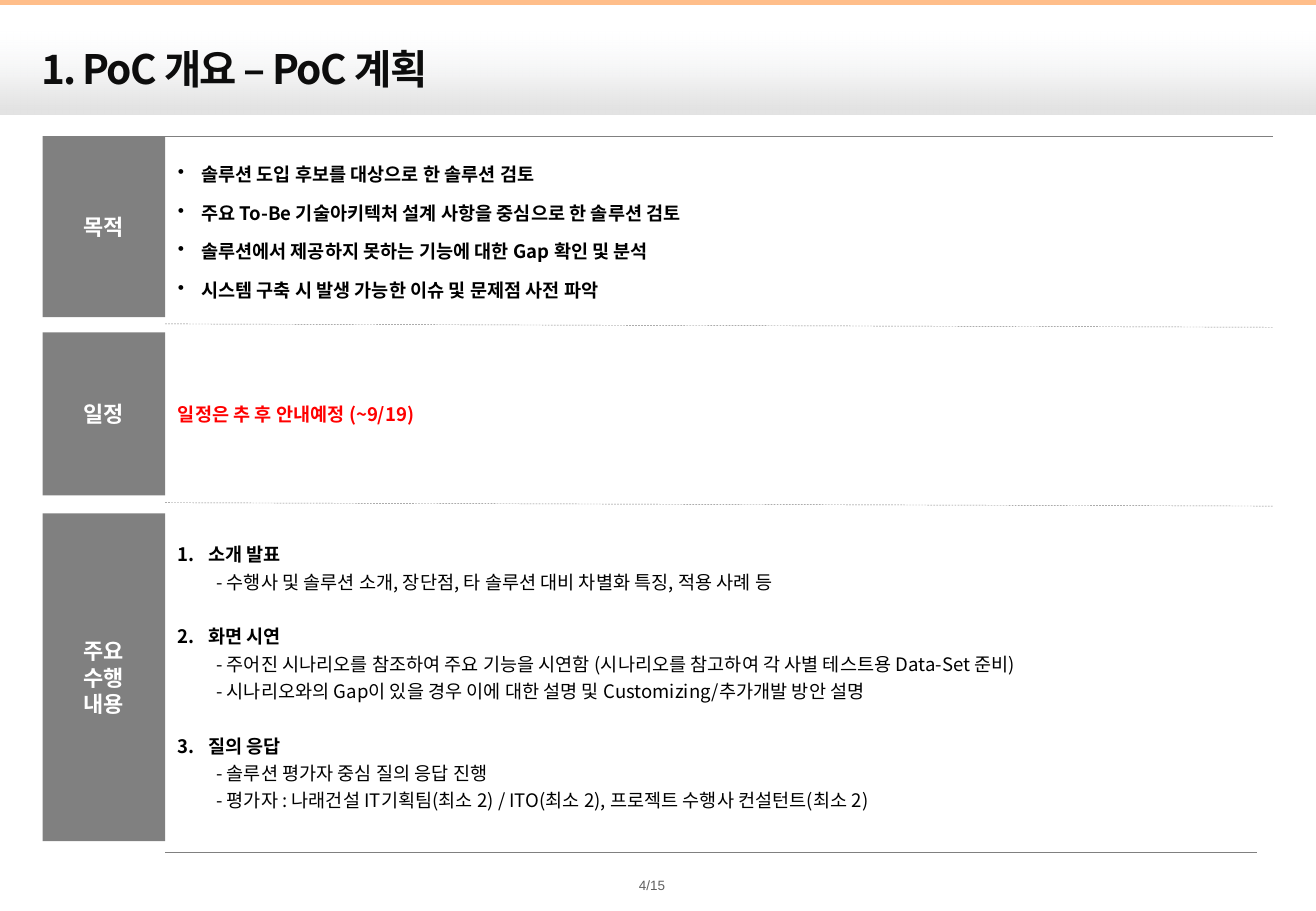
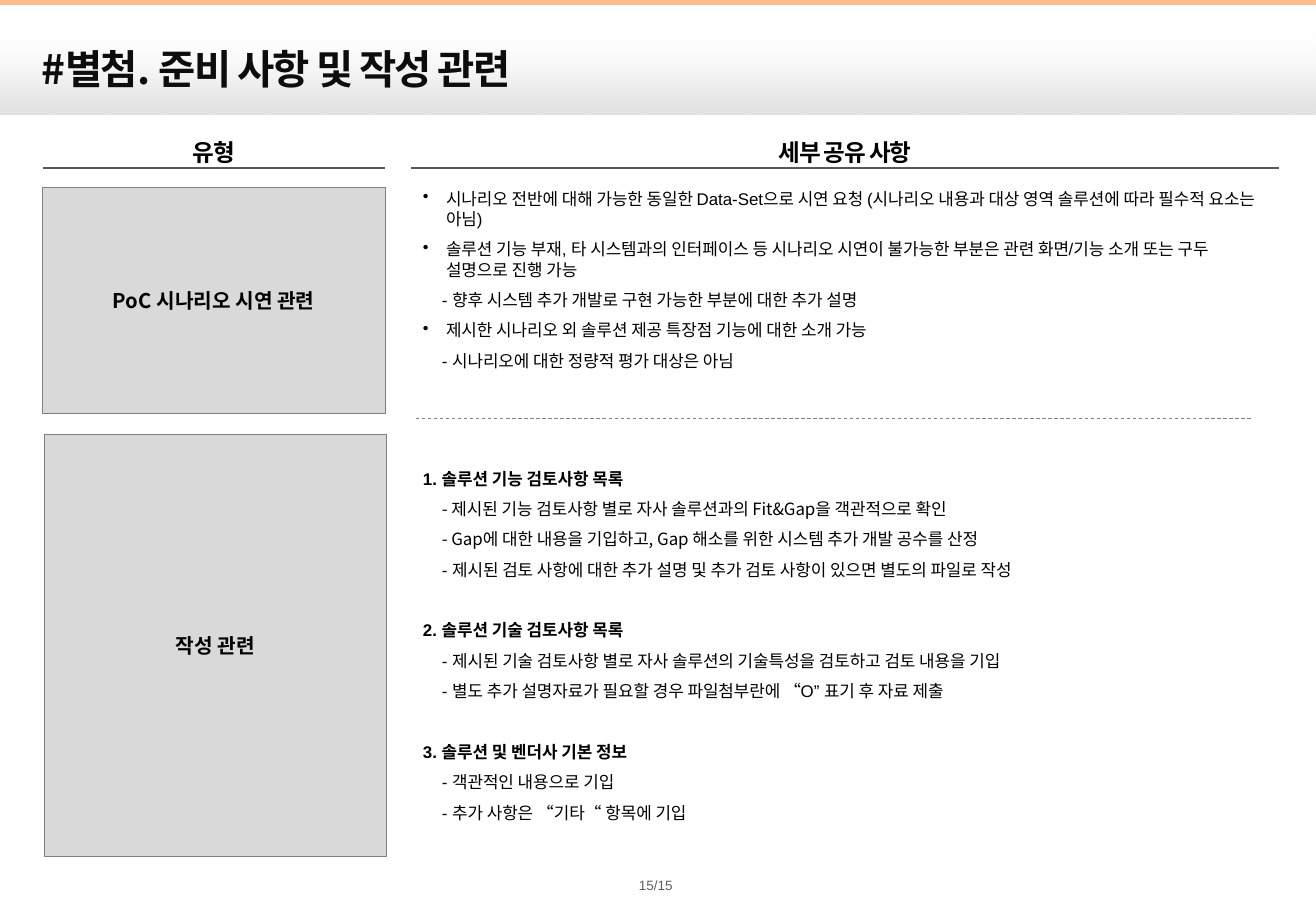
from dataclasses import dataclass

from lxml import etree
from pptx import Presentation
from pptx.dml.color import RGBColor
from pptx.enum.dml import MSO_LINE
from pptx.enum.shapes import MSO_CONNECTOR, MSO_SHAPE
from pptx.enum.text import MSO_ANCHOR, PP_ALIGN
from pptx.oxml.ns import qn
from pptx.util import Pt

STRAIGHT, RECTANGLE = MSO_CONNECTOR.STRAIGHT, MSO_SHAPE.RECTANGLE
DASH = MSO_LINE.DASH
TOP, MIDDLE = MSO_ANCHOR.TOP, MSO_ANCHOR.MIDDLE
LEFT, CENTER = PP_ALIGN.LEFT, PP_ALIGN.CENTER
WIDTH, HEIGHT = 780, 540
KOREAN, LATIN = "Noto Sans CJK KR", "Arial"
COLORS = {
    "accent": "FFBE8A", "title": "0D0D0D", "page": "5F5F5F", "gray": "808080",
    "rule": "595959", "panel": "D9D9D9", "haze": "F6F9FC", "text": "000000",
    "white": "FFFFFF", "alert": "FF0000",
}
BAND_STOPS = [(0, "haze", 3), (74, "panel", 55), (93, "panel", 74)]  # percent, colour, opacity
MARGIN = 25.2
INSETS = {"margin_left": 7.2, "margin_right": 7.2, "margin_top": 3.6, "margin_bottom": 3.6}


@dataclass(frozen=True)
class Style:
    size: float
    color: str = "text"
    bold: bool = False
    font: str = KOREAN
    align: PP_ALIGN = LEFT
    leading: float = 1.2
    spacing: float = 0
    before: float = 0
    after: float = 0


@dataclass(frozen=True)
class Para:
    text: str
    style: Style
    indent: float = 0
    hanging: float = 0
    bullet: bool = False


@dataclass(frozen=True)
class Box:
    left: float
    top: float
    width: float
    height: float


@dataclass(frozen=True)
class Rule:
    start: tuple[float, float]
    end: tuple[float, float]
    color: str = "gray"
    weight: float = 0.25
    dashed: bool = False


TITLE = Style(24, "title", True, leading=1.27, spacing=-1)
PAGE = Style(8, "page", font=LATIN)
LABEL = Style(13, "white", True, align=CENTER)
GOAL = Style(11, bold=True, leading=1.8, before=3)
NOTICE = Style(11, "alert", True, before=3)
STEP = Style(11, bold=True, before=3)
NEXT_STEP = Style(11, bold=True, before=19.2)
DETAIL = Style(11, before=3)
COLUMN = Style(14, bold=True, align=CENTER, leading=1.32, spacing=-0.7)
CATEGORY = Style(12, bold=True, align=CENTER)
NOTE = Style(10, font=LATIN, after=6)
KOREAN_NOTE = Style(10, after=6)
LAST_NOTE = Style(10, font=LATIN, after=24)
TOPIC = Style(10, bold=True, font=LATIN, after=6)


def rgb(name: str) -> RGBColor:
    return RGBColor.from_string(COLORS[name])


def write(frame, paras: list[Para], anchor: MSO_ANCHOR = MIDDLE, inset: bool = True) -> None:
    frame.word_wrap = True
    frame.vertical_anchor = anchor
    for side, value in INSETS.items():
        setattr(frame, side, Pt(value if inset else 0))
    for index, para in enumerate(paras):
        paragraph = frame.add_paragraph() if index else frame.paragraphs[0]
        style = para.style
        layout = {"alignment": style.align, "line_spacing": Pt(style.size * style.leading),
                  "space_before": Pt(style.before), "space_after": Pt(style.after)}
        for name, value in layout.items():
            setattr(paragraph, name, value)
        properties = paragraph._p.get_or_add_pPr()
        properties.set("marL", str(Pt(para.indent)))
        properties.set("indent", str(Pt(-para.hanging)))
        if para.bullet:
            etree.SubElement(properties, qn("a:buChar")).set("char", "•")
        run = paragraph.add_run()
        run.text = para.text
        for name, value in {"name": style.font, "size": Pt(style.size), "bold": style.bold}.items():
            setattr(run.font, name, value)
        run.font.color.rgb = rgb(style.color)
        run_properties = run._r.get_or_add_rPr()
        etree.SubElement(run_properties, qn("a:ea")).set("typeface", KOREAN)
        if style.spacing:
            run_properties.set("spc", str(round(style.spacing * 100)))


def add_text(slide, box: Box, paras: list[Para], anchor: MSO_ANCHOR = MIDDLE,
             inset: bool = True) -> None:
    area = slide.shapes.add_textbox(Pt(box.left), Pt(box.top), Pt(box.width), Pt(box.height))
    write(area.text_frame, paras, anchor, inset)


def add_rectangle(slide, box: Box):
    shape = slide.shapes.add_shape(RECTANGLE, Pt(box.left), Pt(box.top),
                                   Pt(box.width), Pt(box.height))
    shape.shadow.inherit = False
    shape.line.fill.background()
    return shape


def add_label(slide, box: Box, lines: list[str], style: Style, fill: str,
              outline: str | None = None) -> None:
    label = add_rectangle(slide, box)
    label.fill.solid()
    label.fill.fore_color.rgb = rgb(fill)
    if outline:
        label.line.color.rgb = rgb(outline)
        label.line.width = Pt(0.5)
    write(label.text_frame, [Para(line, style) for line in lines], inset=False)


def add_rule(slide, rule: Rule) -> None:
    line = slide.shapes.add_connector(STRAIGHT, *map(Pt, rule.start + rule.end))
    line.line.color.rgb = rgb(rule.color)
    line.line.width = Pt(rule.weight)
    if rule.dashed:
        line.line.dash_style = DASH
    etree.SubElement(line._element.spPr, qn("a:effectLst"))


def add_band(slide) -> None:
    """Draw the header band, a downward gradient with transparency."""
    band = add_rectangle(slide, Box(0, 18.7, WIDTH, 49))
    band.fill.gradient()
    band.fill.gradient_angle = 270
    stops = band._element.spPr.find(qn("a:gradFill")).find(qn("a:gsLst"))
    for old in list(stops):
        stops.remove(old)
    for position, color, opacity in BAND_STOPS:
        stop = etree.SubElement(stops, qn("a:gs"), pos=str(position * 1000))
        shade = etree.SubElement(stop, qn("a:srgbClr"), val=COLORS[color])
        etree.SubElement(shade, qn("a:alpha"), val=str(opacity * 1000))


def start_slide(deck, title: str, page: str):
    slide = deck.slides.add_slide(deck.slide_layouts[6])
    add_band(slide)
    add_rule(slide, Rule((0, 1.4), (WIDTH, 1.4), "accent", 3.75))
    add_text(slide, Box(378.7, 519.8, 36, 9.4), [Para(page, PAGE)], inset=False)
    add_text(slide, Box(17.3, 20.9, 697, 36), [Para(title, TITLE)], TOP)
    return slide


def bullet(text: str, style: Style) -> Para:
    return Para(text, style, 13.7, 13.7, True)


def step(text: str, style: Style = NEXT_STEP) -> Para:
    return Para(text, style, 18, 18)


def detail(text: str) -> Para:
    return Para(text, DETAIL, 22.7)


def note(text: str, style: Style = NOTE) -> Para:
    return Para(text, style, 11.2)


def build_plan(deck) -> None:
    slide = start_slide(deck, "1. PoC 개요 – PoC 계획", "4/15")
    goals = [bullet(text, GOAL) for text in (
        "솔루션 도입 후보를 대상으로 한 솔루션 검토",
        "주요 To-Be 기술아키텍처 설계 사항을 중심으로 한 솔루션 검토",
        "솔루션에서 제공하지 못하는 기능에 대한 Gap 확인 및 분석",
        "시스템 구축 시 발생 가능한 이슈 및 문제점 사전 파악",
    )]
    steps = [
        step("1.\t소개 발표", STEP),
        detail("- 수행사 및 솔루션 소개, 장단점, 타 솔루션 대비 차별화 특징, 적용 사례 등"),
        step("2.\t화면 시연"),
        detail("- 주어진 시나리오를 참조하여 주요 기능을 시연함 "
               "(시나리오를 참고하여 각 사별 테스트용 Data-Set 준비)"),
        detail("- 시나리오와의 Gap이 있을 경우 이에 대한 설명 및 Customizing/추가개발 방안 설명"),
        step("3.\t질의 응답"),
        detail("- 솔루션 평가자 중심 질의 응답 진행"),
        detail("- 평가자 : 나래건설 IT기획팀(최소 2) / ITO(최소 2), "
               "프로젝트 수행사 컨설턴트(최소 2)"),
    ]
    sections = [
        (80.8, 107.2, ["목적"], goals),
        (197.1, 96.6, ["일정"], [Para("일정은 추 후 안내예정 (~9/19)", NOTICE)]),
        (304.3, 194.4, ["주요", "수행", "내용"], steps),
    ]
    for top, height, label, paras in sections:
        add_label(slide, Box(MARGIN, top, 72.7, height), label, LABEL, "gray")
        add_text(slide, Box(98.4, top, 640, height), paras)
    left, right = 97.9, 754.7
    for rule in (
        Rule((left, 80.8), (right, 80.8)),
        Rule((left, 192), (right, 194), dashed=True),
        Rule((left, 298), (right, 300), dashed=True),
        Rule((left, 505.3), (745, 505.3)),
    ):
        add_rule(slide, rule)


def build_appendix(deck) -> None:
    slide = start_slide(deck, "#별첨. 준비 사항 및 작성 관련", "15/15")
    detail_left, type_width, detail_width = 243.6, 203, 514.6
    for heading, left, width in (("유형", MARGIN, type_width),
                                 ("세부 공유 사항", detail_left, detail_width)):
        add_text(slide, Box(left, 80, width, 24.5), [Para(heading, COLUMN)], TOP, False)
        add_rule(slide, Rule((left, 99.5), (left + width, 99.5), "rule", 1.5))
    demo = [
        bullet("시나리오 전반에 대해 가능한 동일한 Data-Set으로 시연 요청 "
               "(시나리오 내용과 대상 영역 솔루션에 따라 필수적 요소는 아님)", NOTE),
        bullet("솔루션 기능 부재, 타 시스템과의 인터페이스 등 시나리오 시연이 불가능한 부분은 "
               "관련 화면/기능 소개 또는 구두 설명으로 진행 가능", NOTE),
        note("- 향후 시스템 추가 개발로 구현 가능한 부분에 대한 추가 설명"),
        bullet("제시한 시나리오 외 솔루션 제공 특장점 기능에 대한 소개 가능", NOTE),
        note("- 시나리오에 대한 정량적 평가 대상은 아님"),
    ]
    writing = [
        Para("1. 솔루션 기능 검토사항 목록", TOPIC),
        note("- 제시된 기능 검토사항 별로 자사 솔루션과의 Fit&Gap을 객관적으로 확인", KOREAN_NOTE),
        note("- Gap에 대한 내용을 기입하고, Gap 해소를 위한 시스템 추가 개발 공수를 산정",
             KOREAN_NOTE),
        note("- 제시된 검토 사항에 대한 추가 설명 및 추가 검토 사항이 있으면 별도의 파일로 작성",
             LAST_NOTE),
        Para("2. 솔루션 기술 검토사항 목록", TOPIC),
        note("- 제시된 기술 검토사항 별로 자사 솔루션의 기술특성을 검토하고 검토 내용을 기입"),
        note("- 별도 추가 설명자료가 필요할 경우 파일첨부란에 “O” 표기 후 자료 제출", LAST_NOTE),
        Para("3. 솔루션 및 벤더사 기본 정보", TOPIC),
        note("- 객관적인 내용으로 기입"),
        note("- 추가 사항은 “기타“ 항목에 기입"),
    ]
    for category, box, text_height, paras in (
        ("PoC 시나리오 시연 관련", Box(MARGIN, 111, type_width, 134), 109.4, demo),
        ("작성 관련", Box(26.2, 257.5, type_width, 250), 250, writing),
    ):
        add_label(slide, box, [category], CATEGORY, "panel", "gray")
        add_text(slide, Box(detail_left, box.top, detail_width, text_height), paras)
    add_rule(slide, Rule((246.4, 248), (742, 248), weight=0.5, dashed=True))


def main() -> None:
    deck = Presentation()
    deck.slide_width, deck.slide_height = Pt(WIDTH), Pt(HEIGHT)
    build_plan(deck)
    build_appendix(deck)
    deck.save("out.pptx")


if __name__ == "__main__":
    main()
